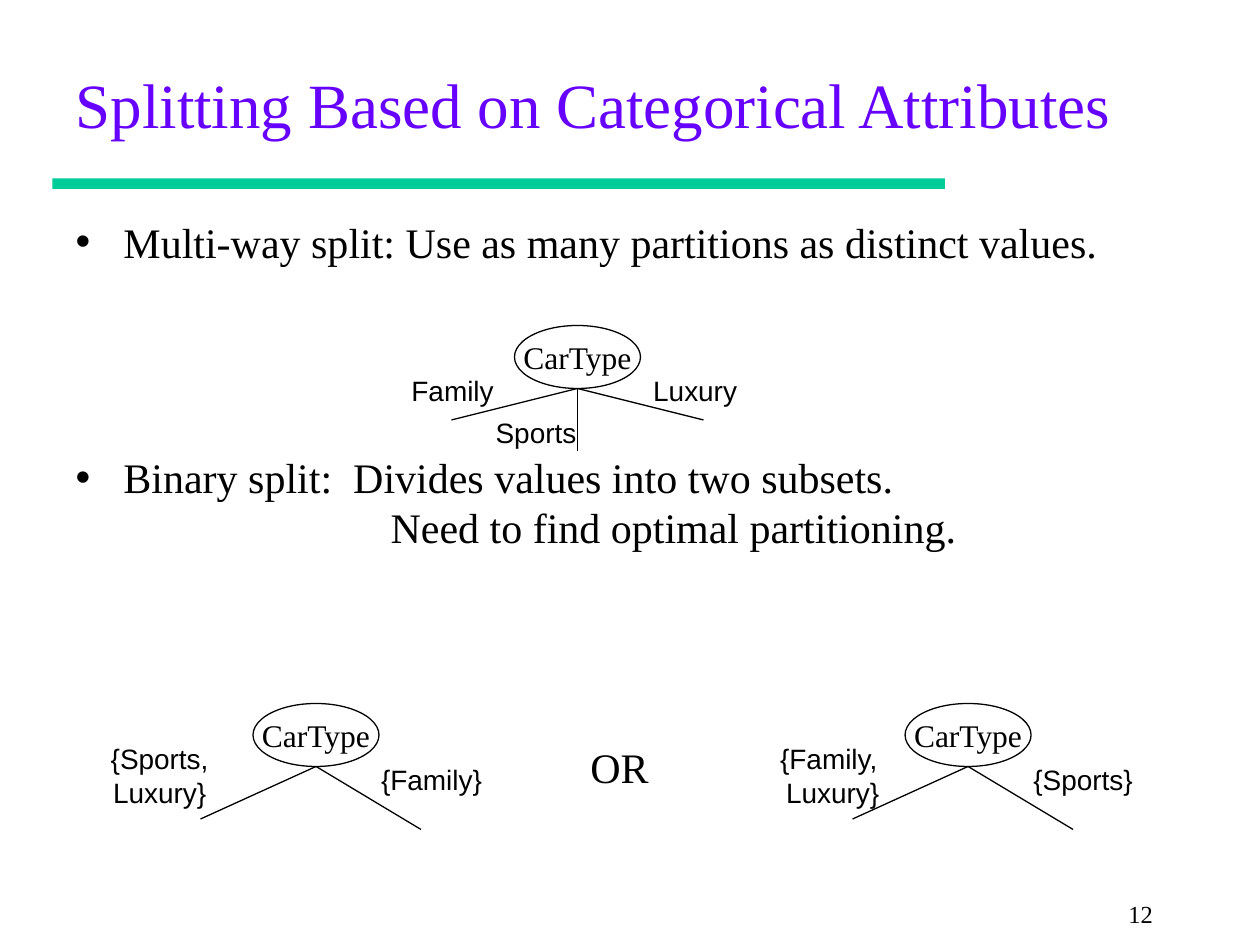
from pptx import Presentation
from pptx.dml.color import RGBColor
from pptx.enum.shapes import MSO_CONNECTOR, MSO_SHAPE
from pptx.enum.text import MSO_ANCHOR, MSO_AUTO_SIZE, PP_ALIGN
from pptx.oxml.ns import qn
from pptx.util import Inches, Pt
from lxml import etree

LEFT, CENTER, RIGHT = PP_ALIGN.LEFT, PP_ALIGN.CENTER, PP_ALIGN.RIGHT
TOP, MIDDLE, BOTTOM = MSO_ANCHOR.TOP, MSO_ANCHOR.MIDDLE, MSO_ANCHOR.BOTTOM
RECT, OVAL = MSO_SHAPE.RECTANGLE, MSO_SHAPE.OVAL
STRAIGHT = MSO_CONNECTOR.STRAIGHT
FIT, FIXED = MSO_AUTO_SIZE.SHAPE_TO_FIT_TEXT, MSO_AUTO_SIZE.NONE

COLORS = {"title": "6600FF", "bar": "00CC99", "ink": "000000", "paper": "FFFFFF"}
SERIF, SANS = "Times New Roman", "Arial"
COLS, ROWS = 120, 90


def rgb(name):
    return RGBColor.from_string(COLORS[name])


def write(p, text, size=24, font=SERIF, color="ink", align=LEFT):
    p.text = text
    p.alignment = align
    for r in p.runs:
        r.font.size, r.font.name = Pt(size), font
        r.font.color.rgb = rgb(color)


def set_bullet(p, char, margin, indent):
    """Set the bullet (None for no bullet) and the indents in inches."""
    pPr = p._p.get_or_add_pPr()
    pPr.set("marL", str(Inches(margin)))
    pPr.set("indent", str(Inches(indent)))
    if char:
        etree.SubElement(pPr, qn("a:buChar")).set("char", char)
    else:
        etree.SubElement(pPr, qn("a:buNone"))


class Deck:
    """Style and current slide; positions are columns and rows of a 120 by 90 grid."""

    def __init__(self):
        self.prs = Presentation()
        self.prs.slide_width, self.prs.slide_height = Inches(10), Inches(7.5)
        self.slide = self.prs.slides.add_slide(self.prs.slide_layouts[1])
        self.shapes = self.slide.shapes

    def at(self, *lengths):
        """Turn alternating columns and rows into slide lengths."""
        units = self.prs.slide_width / COLS, self.prs.slide_height / ROWS
        return [round(n * units[i % 2]) for i, n in enumerate(lengths)]

    def place(self, sp, box, anchor):
        sp.left, sp.top, sp.width, sp.height = self.at(*box)
        tf = sp.text_frame
        tf.auto_size, tf.word_wrap, tf.vertical_anchor = FIXED, True, anchor
        return tf

    def title(self, text, box):
        tf = self.place(self.shapes.title, box, BOTTOM)
        write(tf.paragraphs[0], text, size=36, color="title")

    def body(self, items, box):
        """Fill the list from (text, bullet, margin, indent, space before)."""
        tf = self.place(self.slide.placeholders[1], box, TOP)
        for i, (text, char, margin, indent, gap) in enumerate(items):
            p = tf.add_paragraph() if i else tf.paragraphs[0]
            write(p, text)
            p.space_before = Pt(gap)
            set_bullet(p, char, margin, indent)

    def shape(self, kind, box, fill, line=None, parent=None):
        sp = (parent or self.shapes).add_shape(kind, *self.at(*box))
        sp.shadow.inherit = False
        sp.fill.solid()
        sp.fill.fore_color.rgb = rgb(fill)
        if line:
            sp.line.color.rgb, sp.line.width = rgb(line), Pt(0.75)
        else:
            sp.line.fill.background()
        return sp

    def line(self, start, end, parent):
        ln = parent.add_connector(STRAIGHT, *self.at(*start, *end))
        ln.line.color.rgb, ln.line.width = rgb("ink"), Pt(0.75)
        etree.SubElement(ln._element.spPr, qn("a:effectLst"))

    def text(self, text, box, parent=None, anchor=MIDDLE, **fmt):
        tf = (parent or self.shapes).add_textbox(*self.at(*box)).text_frame
        tf.auto_size, tf.word_wrap, tf.vertical_anchor = FIT, False, anchor
        write(tf.paragraphs[0], text, **fmt)

    def tree(self, x, y, root, branches):
        """Draw a split; x, y is the foot of the root, branches are relative to it."""
        group = self.shapes.add_group_shape().shapes
        sp = self.shape(OVAL, (x - 6, y - 6, 12, 6), "paper", "ink", group)
        sp.text_frame.word_wrap, sp.text_frame.vertical_anchor = False, MIDDLE
        write(sp.text_frame.paragraphs[0], root, size=18, align=CENTER)
        for _, (dx, dy), _ in branches:
            self.line((x, y), (x + dx, y + dy), group)
        for label, _, (dx, dy, width) in branches:
            height = 7.7 if "\n" in label else 4.4
            self.text(label, (x + dx, y + dy, width, height), group,
                      size=16, font=SANS, align=CENTER)


def main():
    deck = Deck()
    deck.shape(RECT, (5, 17, 85, 1), "bar")
    deck.text("12", (87, 85, 24, 3), anchor=TOP, size=14, align=RIGHT)
    deck.title("Splitting Based on Categorical Attributes", (6, 7, 113, 7))
    deck.body([
        ("Multi-way split: Use as many partitions as distinct values.",
         "•", 0.38, -0.38, 5),
        ("Binary split:  Divides values into two subsets.", "•", 0.38, -0.38, 105.5),
        ("Need to find optimal partitioning.", None, 2.5, 0, 0),
    ], (6, 20, 110, 49))

    # Each branch: label, end of its line, label's left, top and width
    deck.tree(55, 37, "CarType", [
        ("Family", (-12, 3), (-17, -2, 10.2)),
        ("Sports", (0, 6), (-9, 2, 10.1)),
        ("Luxury", (12, 3), (6, -2, 10.4)),
    ])
    low, high = (-11, 5), (10, 6)
    deck.tree(92.2, 73, "CarType", [
        ("{Family, \nLuxury}", low, (-19.2, -3, 12.6)),
        ("{Sports}", high, (5, -1, 11.9)),
    ])
    deck.tree(30.1, 73, "CarType", [
        ("{Sports,\nLuxury}", low, (-21.1, -3, 12.4)),
        ("{Family}", high, (5, -1, 12)),
    ])
    deck.text("OR", (54.5, 70, 9, 6), align=CENTER)
    deck.prs.save("out.pptx")


if __name__ == "__main__":
    main()
